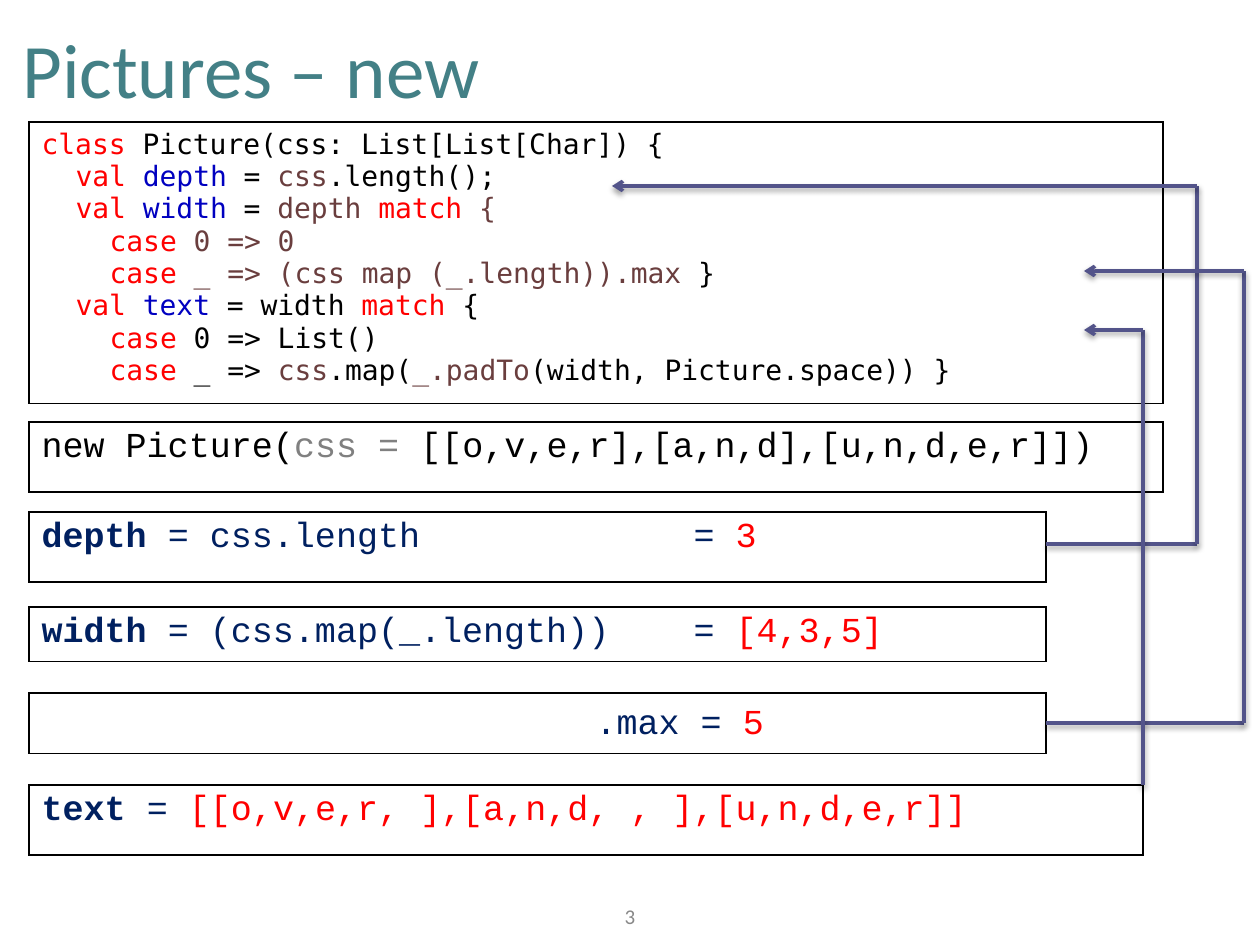
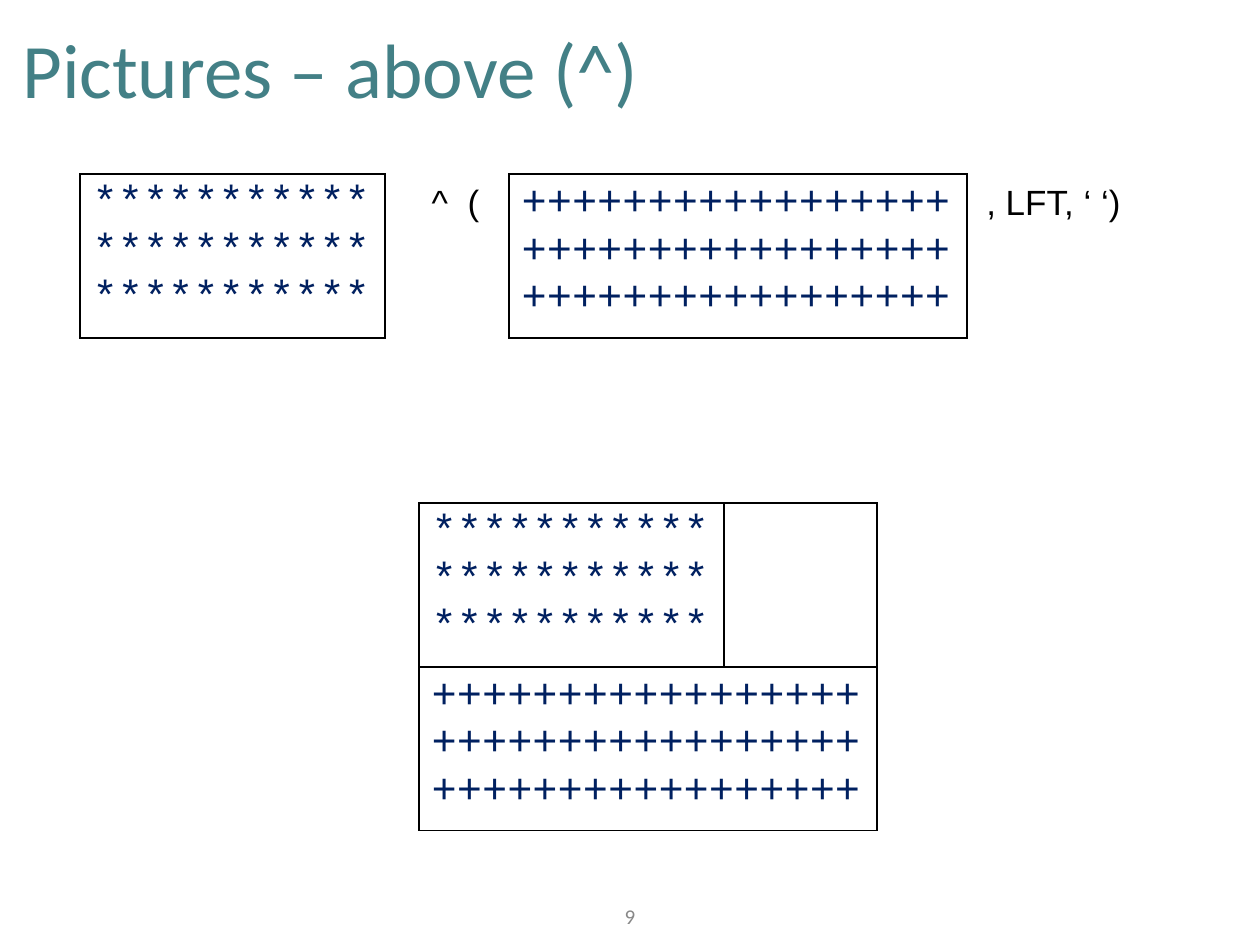
from itertools import pairwise

from lxml import etree
from pptx import Presentation
from pptx.dml.color import RGBColor
from pptx.enum.shapes import MSO_CONNECTOR
from pptx.enum.text import MSO_ANCHOR, PP_ALIGN
from pptx.oxml import parse_xml
from pptx.util import Pt

STRAIGHT = MSO_CONNECTOR.STRAIGHT
MIDDLE, TOP = MSO_ANCHOR.MIDDLE, MSO_ANCHOR.TOP
LEFT, CENTER = PP_ALIGN.LEFT, PP_ALIGN.CENTER

COLOURS = {
    "title": "438086", "number": "888888", "black": "000000", "grey": "808080",
    "keyword": "FF0000", "name": "0000C0", "value": "6A3E3E",
    "navy": "002060", "result": "FF0000", "arrow": "53548A",
}
BODY, SANS, MONO, CODE = "Calibri", "Arial", "Courier New", "DejaVu Sans Mono"
DRAWING = "http://schemas.openxmlformats.org/drawingml/2006/main"
UNIT = 914400 / 126
INDENT = 34        # two characters of code
RESULT_TAB = 652   # where the equals signs line up


def px(length):
    return round(length * UNIT)


def add_runs(para, spans, font, size):
    """Each span is (text, colour) or (text, colour, bold)."""
    for text, colour, *bold in spans:
        run = para.add_run()
        run.text = text
        run.font.name, run.font.size = font, Pt(size)
        run.font.bold = bool(bold and bold[0])
        run.font.color.rgb = RGBColor.from_string(COLOURS[colour])


def add_label(page, box, spans, font, size, align=LEFT, anchor=TOP, side=12.6, wrap=True):
    label = page.shapes.add_textbox(*map(px, box))
    frame = label.text_frame
    frame.word_wrap, frame.vertical_anchor = wrap, anchor
    frame.margin_left = frame.margin_right = px(side)
    frame.margin_top = frame.margin_bottom = px(6.3)
    frame.paragraphs[0].alignment = align
    add_runs(frame.paragraphs[0], spans, font, size)


def add_page(deck, title, number):
    page = deck.slides.add_slide(deck.slide_layouts[6])
    add_label(page, (16, 13, 1227, 110), [(title, "title")], BODY, 44,
              anchor=MIDDLE, side=6.3)
    add_label(page, (612, 898, 36, 37), [(str(number), "number")], BODY, 12,
              CENTER, MIDDLE, 6.3, wrap=False)
    return page


def add_grid(page, box, columns, rows):
    """A table without fill, with a thin black line round each cell."""
    grid = page.shapes.add_table(rows, len(columns), *map(px, box)).table
    grid.first_row = grid.horz_banding = False
    for column, width in zip(grid.columns, columns):
        column.width = px(width)
    for cell in grid.iter_cells():
        cell.fill.background()
        properties = cell._tc.get_or_add_tcPr()
        for index, side in enumerate("LRTB"):
            properties.insert(index, parse_xml(
                f'<a:ln{side} xmlns:a="{DRAWING}" w="12700"><a:solidFill>'
                f'<a:srgbClr val="{COLOURS["black"]}"/></a:solidFill></a:ln{side}>'))
    return grid


def fill_cell(cell, lines, font, size):
    """Each line is (left indent, spans)."""
    frame = cell.text_frame
    for index, (indent, spans) in enumerate(lines):
        para = frame.add_paragraph() if index else frame.paragraphs[0]
        properties = para._p.get_or_add_pPr()
        properties.set("marL", str(px(indent)))
        if any("\t" in span[0] for span in spans):
            tabs = etree.SubElement(properties, f"{{{DRAWING}}}tabLst")
            etree.SubElement(tabs, f"{{{DRAWING}}}tab", pos=str(px(RESULT_TAB)), algn="l")
        add_runs(para, spans, font, size)


def add_panel(page, box, lines, font, size, top=6.3):
    cell = add_grid(page, box, [box[2]], 1).cell(0, 0)
    cell.margin_top = px(top)
    fill_cell(cell, lines, font, size)


def add_route(page, points):
    """Shadowed straight lines through the points, with an arrowhead at the end."""
    for start, end in pairwise(points):
        line = page.shapes.add_connector(STRAIGHT, *map(px, start + end))
        line.line.width = Pt(2)
        line.line.color.rgb = RGBColor.from_string(COLOURS["arrow"])
        if end == points[-1]:
            etree.SubElement(line.line._get_or_add_ln(), f"{{{DRAWING}}}tailEnd", type="arrow")
        line._element.spPr.append(parse_xml(
            f'<a:effectLst xmlns:a="{DRAWING}"><a:outerShdw blurRad="38100" dist="22860" '
            f'dir="5400000" rotWithShape="0"><a:srgbClr val="{COLOURS["black"]}">'
            '<a:alpha val="35000"/></a:srgbClr></a:outerShdw></a:effectLst>'))


def val_line(name, *rest):
    return INDENT, [("val", "keyword"), (f" {name}", "name"), (" = ", "black"), *rest]


def case_line(*rest):
    return 2 * INDENT, [("case", "keyword"), *rest]


def build_new(deck):
    page = add_page(deck, "Pictures – new", 3)
    left, wide, narrow = 29, 1134, 1017

    # Class definition
    add_panel(page, (left, 122, wide, 267), [
        (0, [("class ", "keyword"), ("Picture(css: List[List[Char]) {", "black")]),
        val_line("depth", ("css", "value"), (".length();", "black")),
        val_line("width", ("depth ", "value"), ("match", "keyword"), (" {", "value")),
        case_line((" 0 => 0", "value")),
        case_line((" _ => (css map (_.length)).max", "value"), (" }", "black")),
        val_line("text", ("width ", "black"), ("match", "keyword"), (" {", "black")),
        case_line((" 0 => List()", "black")),
        case_line((" _ => ", "black"), ("css", "value"), (".map(", "black"),
                  ("_.padTo", "value"), ("(width, Picture.space)) }", "black")),
    ], CODE, 16)

    # Call and evaluation steps: top, width, height, indent, top margin, spans
    steps = [
        (422, wide, 70, 0, 6.3, [("new Picture(", "black"), ("css = ", "grey"),
                                 ("[[o,v,e,r],[a,n,d],[u,n,d,e,r]])", "black")]),
        (512, narrow, 70, 0, 6.3, [("depth", "navy", True), (" = css.length\t= ", "navy"),
                                   ("3", "result")]),
        (607, narrow, 53, 0, 6.3, [("width", "navy", True),
                                   (" = (css.map(_.length))\t= ", "navy"),
                                   ("[4,3,5]", "result")]),
        (693, narrow, 60, 554, 12, [(".max = ", "navy"), ("5", "result")]),
        (785, 1114, 70, 0, 6.3, [("text", "navy", True), (" = ", "navy"),
                                 ("[[o,v,e,r, ],[a,n,d, , ],[u,n,d,e,r]]", "result")]),
    ]
    for top, width, height, indent, margin, spans in steps:
        add_panel(page, (left, top, width, height), [(indent, spans)], MONO, 20, margin)

    # Arrows from each result to its line of code
    edge = left + narrow
    add_route(page, [(edge, 544), (1197, 544), (1197, 186), (612, 186)])
    add_route(page, [(edge, 723), (1244, 723), (1244, 271), (1084, 271)])
    add_route(page, [(1143, 785), (1143, 330), (1084, 330)])


def build_above(deck):
    page = add_page(deck, "Pictures – above (^)", 9)
    stars = [(0, [("*" * 11, "navy")])] * 3
    pluses = [(0, [("+" * 17, "navy")])] * 3
    top, star_width, plus_width = 174, 305, 458

    # Expression
    add_panel(page, (80, top, star_width, 162), stars, MONO, 24)
    add_panel(page, (509, top, plus_width, 155), pluses, MONO, 24)
    for left, width, text in [(402, 107, "^  ("), (967, 173, ", LFT, ‘ ‘)")]:
        add_label(page, (left, top, width, 55), [(text, "black")], SANS, 20, CENTER)

    # Stacked result
    grid = add_grid(page, (419, 503, plus_width, 310),
                    [star_width, plus_width - star_width], 2)
    grid.cell(1, 0).merge(grid.cell(1, 1))
    fill_cell(grid.cell(0, 0), stars, MONO, 24)
    fill_cell(grid.cell(1, 0), pluses, MONO, 24)


deck = Presentation()
deck.slide_width, deck.slide_height = px(1260), px(945)
build_new(deck)
build_above(deck)
deck.save("out.pptx")
